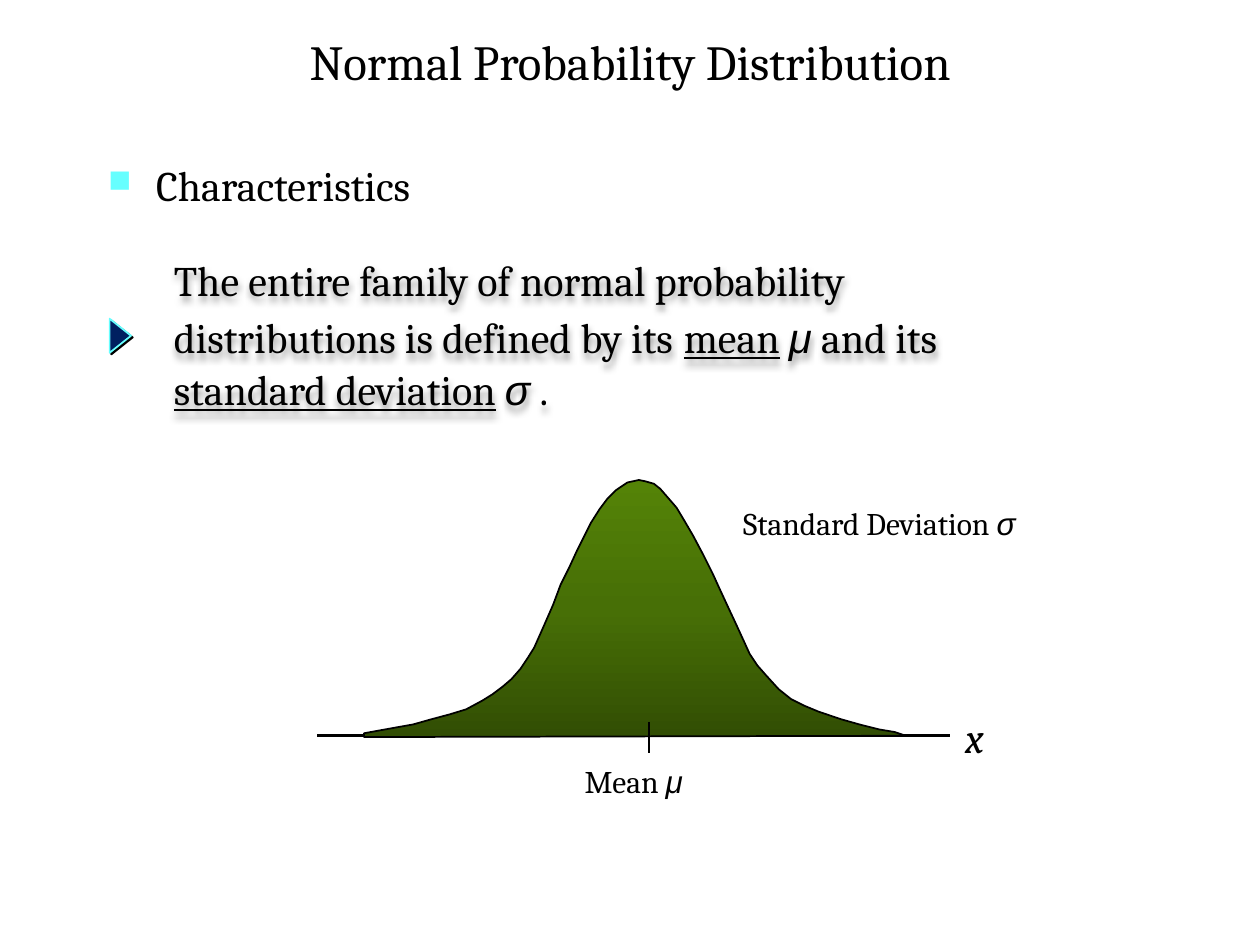
import pptx
import pptx.util
import pptx.dml.color
import pptx.enum.shapes
import pptx.enum.text
import pptx.oxml.ns
from lxml import etree
from copy import deepcopy
from pptx.util import Inches

COLORS = {"black": "000000", "aqua": "66FFFF", "navy": "002060",
          "dark green": "324E04", "mid green": "476F06", "light green": "548307"}
SERIF, SANS = "Cambria", "Arial"
qn = pptx.oxml.ns.qn
Shape = pptx.enum.shapes.MSO_SHAPE
Align = pptx.enum.text.PP_ALIGN
Anchor = pptx.enum.text.MSO_ANCHOR

# Bell outline in inches from its peak: down the left side, up the right side
BELL = [
    (0, 0), (-0.09, 0.02), (-0.18, 0.08), (-0.25, 0.15), (-0.31, 0.23),
    (-0.38, 0.34), (-0.44, 0.46), (-0.49, 0.56), (-0.55, 0.69), (-0.62, 0.83),
    (-0.68, 0.99), (-0.75, 1.15), (-0.83, 1.33), (-0.88, 1.41), (-0.94, 1.5),
    (-1.01, 1.58), (-1.08, 1.64), (-1.16, 1.7), (-1.24, 1.75), (-1.37, 1.82),
    (-1.5, 1.86), (-1.65, 1.9), (-1.79, 1.94), (-1.96, 1.97), (-2.18, 2.01),
    (-2.18, 2.04), (2.12, 2.03), (2.03, 2), (1.91, 1.98), (1.75, 1.94),
    (1.61, 1.9), (1.43, 1.84), (1.31, 1.79), (1.21, 1.74), (1.11, 1.66),
    (1.01, 1.55), (0.94, 1.47), (0.88, 1.38), (0.83, 1.27), (0.77, 1.14),
    (0.7, 0.99), (0.64, 0.86), (0.59, 0.75), (0.51, 0.59), (0.43, 0.44),
    (0.36, 0.32), (0.3, 0.22), (0.24, 0.15), (0.17, 0.07), (0.12, 0.03),
    (0.05, 0.01),
]


def rgb(name):
    return pptx.dml.color.RGBColor.from_string(COLORS[name])


def set_font(font, size, name=SERIF, italic=False, underline=False):
    font.size = pptx.util.Pt(size)
    font.name = name
    font.color.rgb = rgb("black")
    font.italic = italic
    font.underline = underline


def add_spans(para, spans, size):
    """Add (text, style) spans; style is plain, underline, greek or wide."""
    for text, style in spans:
        span = para.add_run()
        span.text = text
        greek = style == "greek"
        set_font(span.font, 28 if style == "wide" else size,
                 SANS if greek else SERIF, greek, style == "underline")


def add_box(page, box, wrap=True):
    frame_box = page.shapes.add_textbox(*map(Inches, box))
    frame_box.text_frame.word_wrap = wrap
    return frame_box


def add_shadow(shape, blur, distance, angle, opacity):
    shape.shadow.inherit = False
    effects = shape._element.spPr.find(qn("a:effectLst"))
    shadow = etree.SubElement(
        effects, qn("a:outerShdw"), blurRad=str(pptx.util.Pt(blur)),
        dist=str(pptx.util.Pt(distance)), dir=str(angle * 60000),
        algn="tl", rotWithShape="0")
    color = etree.SubElement(shadow, qn("a:srgbClr"), val=COLORS["black"])
    etree.SubElement(color, qn("a:alpha"), val=str(opacity * 1000))


def add_title(page, box):
    title = page.shapes.title
    title.left, title.top, title.width, title.height = map(Inches, box)
    title.text_frame.vertical_anchor = Anchor.MIDDLE
    para = title.text_frame.paragraphs[0]
    para.text = "Normal Probability Distribution"
    para.alignment = Align.CENTER
    set_font(para.font, 28)


def add_heading(page, box):
    para = add_box(page, box).text_frame.paragraphs[0]
    para.text = "Characteristics"
    props = para._p.get_or_add_pPr()
    props.set("marL", str(Inches(0.38)))
    props.set("indent", str(Inches(-0.38)))
    color = etree.SubElement(props, qn("a:buClr"))
    etree.SubElement(color, qn("a:srgbClr"), val=COLORS["aqua"])
    etree.SubElement(props, qn("a:buSzPct"), val="75000")
    etree.SubElement(props, qn("a:buChar"), char="■")
    set_font(para.font, 24)


def add_statement(page, box):
    left, top, width, height = box
    # Arrow marker, turned to point right
    marker = page.shapes.add_shape(
        Shape.ISOSCELES_TRIANGLE, Inches(left - 0.39),
        Inches(top + 0.72), Inches(0.27), Inches(0.17))
    marker.rotation = 90
    marker.fill.solid()
    marker.fill.fore_color.rgb = rgb("navy")
    marker.line.color.rgb = rgb("aqua")
    marker.line.width = pptx.util.Pt(1)
    add_shadow(marker, 0, 1.4, 45, 100)

    # Shadowed text
    text_box = add_box(page, box)
    add_shadow(text_box, 4, 3, 90, 40)
    frame = text_box.text_frame
    frame.margin_left = Inches(0.17)
    frame.vertical_anchor = Anchor.MIDDLE
    lines = [
        [("The entire family of normal probability", "plain")],
        [("distributions is defined by its", "plain"), (" ", "wide"),
         ("mean", "underline"), (" ", "plain"), ("μ", "greek"),
         (" and its", "plain")],
        [("standard deviation", "underline"), (" ", "plain"),
         ("σ", "greek"), (" .", "plain")],
    ]
    for index, spans in enumerate(lines):
        para = frame.add_paragraph() if index else frame.paragraphs[0]
        add_spans(para, spans, 24)


def add_line(page, start, end, weight):
    line = page.shapes.add_connector(
        pptx.enum.shapes.MSO_CONNECTOR.STRAIGHT, *map(Inches, start + end))
    line.line.color.rgb = rgb("black")
    line.line.width = pptx.util.Pt(weight)
    etree.SubElement(line._element.spPr, qn("a:effectLst"))


def add_bell(page, peak_x, peak_y):
    points = [(Inches(peak_x + x), Inches(peak_y + y)) for x, y in BELL]
    builder = page.shapes.build_freeform(*points[0])
    builder.add_line_segments(points[1:], close=True)
    bell = builder.convert_to_shape()
    bell.shadow.inherit = False
    bell.line.color.rgb = rgb("black")
    bell.line.width = pptx.util.Pt(1)
    # Three-stop gradient, dark at the base
    bell.fill.gradient()
    bell.fill.gradient_angle = 90
    stops = bell.fill.gradient_stops
    for stop, name in zip(stops, ("dark green", "light green")):
        stop.color.rgb = rgb(name)
    first = next(bell._element.spPr.iter(qn("a:gs")))
    middle = deepcopy(first)
    middle.set("pos", "50000")
    middle.find(qn("a:srgbClr")).set("val", COLORS["mid green"])
    first.addnext(middle)


def add_label(page, box, spans):
    para = add_box(page, box, wrap=False).text_frame.paragraphs[0]
    para.alignment = Align.CENTER
    add_spans(para, spans, 18)


def add_curve(page, box):
    left, top, width, height = box
    base, mean = top + 2.03, left + 2.63
    add_line(page, (left, base), (left + width, base), 1.5)
    add_bell(page, left + 2.55, top)
    add_line(page, (mean, base - 0.11), (mean, base + 0.14), 1)
    # Labels
    add_label(page, (left + 3.16, top + 0.14, 2.6, 0.4),
              [("Standard Deviation ", "plain"), ("σ", "greek")])
    add_label(page, (left + 1.99, base + 0.16, 1.04, 0.4),
              [("Mean ", "plain"), ("μ", "greek")])
    axis = add_box(page, (left + width + 0.01, base - 0.24, 0.37, 0.5), wrap=False)
    para = axis.text_frame.paragraphs[0]
    para.text = "x"
    para.alignment = Align.CENTER
    set_font(para.font, 24, italic=True)


def main():
    deck = pptx.Presentation()
    deck.slide_width, deck.slide_height = Inches(10), Inches(7.5)
    page = deck.slides.add_slide(deck.slide_layouts[5])
    add_title(page, (0.75, 0.11, 8.5, 0.75))
    add_heading(page, (0.76, 1.22, 3.91, 0.5))
    add_statement(page, (1.21, 1.86, 7.85, 1.58))
    add_curve(page, (2.52, 3.81, 5.02, 2.04))
    deck.save("out.pptx")


if __name__ == "__main__":
    main()
